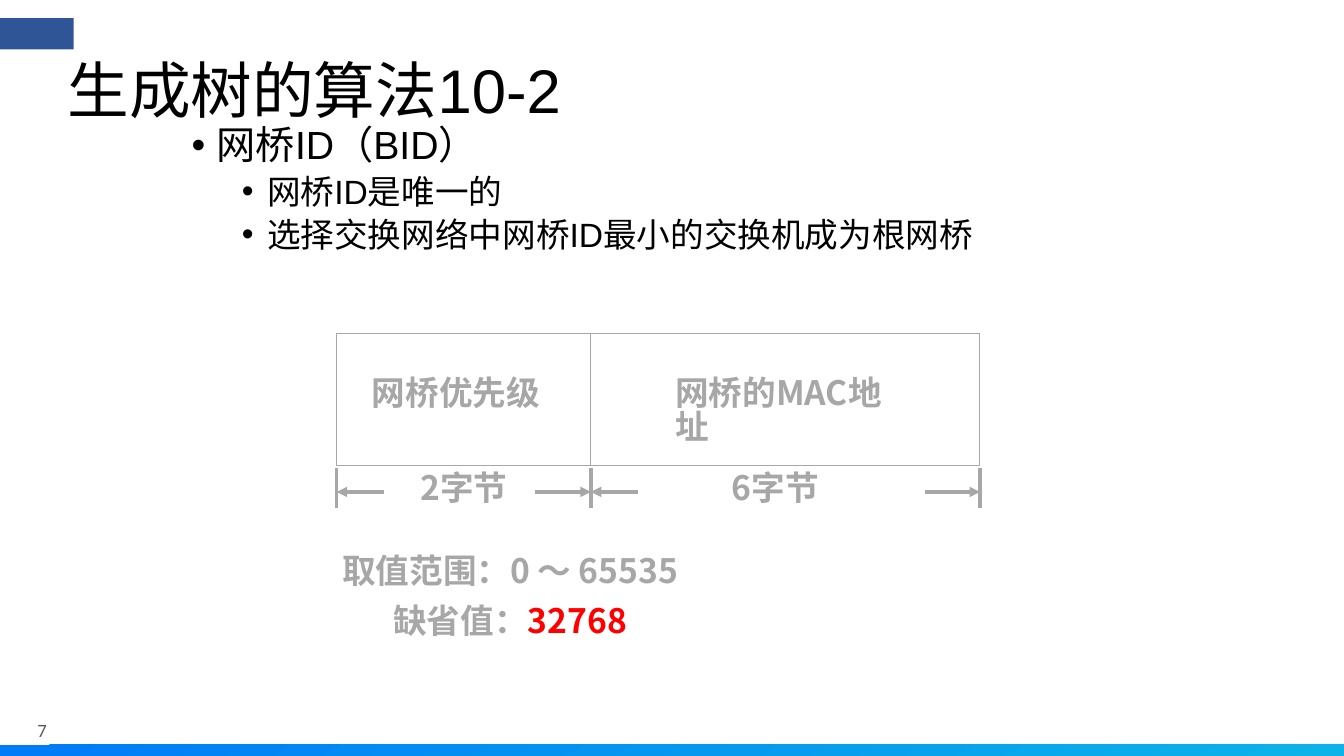
from lxml import etree
from pptx import Presentation
from pptx.dml.color import RGBColor
from pptx.enum.shapes import MSO_CONNECTOR, MSO_SHAPE
from pptx.enum.text import MSO_ANCHOR, PP_ALIGN
from pptx.oxml.ns import qn
from pptx.util import Inches, Pt

STRAIGHT = MSO_CONNECTOR.STRAIGHT
RECTANGLE = MSO_SHAPE.RECTANGLE
TOP, MIDDLE = MSO_ANCHOR.TOP, MSO_ANCHOR.MIDDLE
CENTER = PP_ALIGN.CENTER

BLACK = RGBColor(0x00, 0x00, 0x00)
WHITE = RGBColor(0xFF, 0xFF, 0xFF)
GRAY = RGBColor(0xA7, 0xA7, 0xA7)
RED = RGBColor(0xFF, 0x00, 0x00)
NAVY = RGBColor(0x2F, 0x55, 0x97)
NUMBER_GRAY = RGBColor(0x5A, 0x5A, 0x5A)
BAR_START = RGBColor(0x00, 0x7B, 0xF7)
BAR_END = RGBColor(0x0B, 0xB3, 0xE8)

TEXT_FONT = "Arial"
DIAGRAM_FONT = "Noto Sans CJK SC"
NUMBER_FONT = "Calibri"


def add_text(slide, box, anchor=TOP, margin=0.0):
    """Add a wrapping text box and return its text frame."""
    frame = slide.shapes.add_textbox(*map(Inches, box)).text_frame
    frame.word_wrap = True
    frame.vertical_anchor = anchor
    frame.margin_left = frame.margin_right = Inches(margin)
    frame.margin_top = frame.margin_bottom = Inches(margin / 2)
    return frame


def style_span(span, font, size, color, bold=False):
    span.font.name = font
    span.font.size = Pt(size)
    span.font.bold = bold
    span.font.color.rgb = color
    east_asian = etree.SubElement(span.font._element, qn("a:ea"))
    east_asian.set("typeface", font)


def add_rectangle(slide, box):
    shape = slide.shapes.add_shape(RECTANGLE, *map(Inches, box))
    shape.shadow.inherit = False
    shape.line.fill.background()
    return shape


def add_line(slide, start, end, arrow=False):
    line = slide.shapes.add_connector(STRAIGHT, *map(Inches, start + end))
    line.line.color.rgb = GRAY
    line.line.width = Pt(2.5)
    if arrow:
        tail = etree.SubElement(line.line._get_or_add_ln(), qn("a:tailEnd"))
        tail.set("type", "triangle")
    etree.SubElement(line._element.spPr, qn("a:effectLst"))


def add_decoration(slide, width, height):
    bar = add_rectangle(slide, (0, height - 0.11, width, 0.11))
    bar.fill.gradient()
    bar.fill.gradient_angle = 300
    for stop, color in zip(bar.fill.gradient_stops, (BAR_START, BAR_END)):
        stop.color.rgb = color
    tab = add_rectangle(slide, (0, 0.18, 0.73, 0.31))
    tab.fill.solid()
    tab.fill.fore_color.rgb = NAVY

    number = add_text(slide, (0.37, 7.13, 0.74, 0.22), MIDDLE).paragraphs[0]
    number.text = "7"
    style_span(number.runs[0], NUMBER_FONT, 13.4, NUMBER_GRAY)


def add_title(slide, box):
    para = add_text(slide, box, MIDDLE).paragraphs[0]
    para.text = "生成树的算法10-2"
    para.line_spacing = 0.9
    style_span(para.runs[0], TEXT_FONT, 44, BLACK)


def add_bullets(slide, box):
    items = [
        ("网桥ID（BID）", 0, 28),
        ("网桥ID是唯一的", 1, 24),
        ("选择交换网络中网桥ID最小的交换机成为根网桥", 1, 24),
    ]
    frame = add_text(slide, box)
    for index, (text, level, size) in enumerate(items):
        para = frame.add_paragraph() if index else frame.paragraphs[0]
        para.text = text
        para.level = level
        para.line_spacing = 0.9
        if index:
            para.space_before = Pt(4.8)
        properties = para._p.get_or_add_pPr()
        properties.set("marL", str(Inches(0.25 + 0.5 * level)))
        properties.set("indent", str(Inches(-0.25)))
        etree.SubElement(properties, qn("a:buFont")).set("typeface", TEXT_FONT)
        etree.SubElement(properties, qn("a:buChar")).set("char", "•")
        style_span(para.runs[0], TEXT_FONT, size, BLACK)


def add_label(slide, box, lines, align=None):
    """Write bold diagram text; each line is a list of (text, color) spans."""
    frame = add_text(slide, box, margin=0.1)
    for index, spans in enumerate(lines):
        para = frame.add_paragraph() if index else frame.paragraphs[0]
        para.alignment = align
        para.line_spacing = 0.83
        if index:
            para.space_before = Pt(12)
        for text, color in spans:
            span = para.add_run()
            span.text = text
            style_span(span, DIAGRAM_FONT, 24, color, bold=True)


def add_bridge_id(slide, left, top):
    """Draw the two fields of the bridge ID with their byte widths below."""
    height = 1.31
    tick_top, arrow_y = top + 1.33, top + 1.57
    # name, its left offset and size, field width, bytes, bytes offset, arrow lengths
    fields = [
        ("网桥优先级", 0.25, 2.02, 0.51, 2.52, "2字节", 0.73, 0.47, 0.55),
        ("网桥的MAC地址", 0.74, 2.42, 0.91, 3.86, "6字节", 1.3, 0.47, 0.55),
    ]
    edges = [left]
    for (name, name_offset, name_width, name_height, width,
         size, size_offset, left_arrow, right_arrow) in fields:
        start, end = edges[-1], edges[-1] + width
        edges.append(end)
        field = add_rectangle(slide, (start, top, width, height))
        field.fill.solid()
        field.fill.fore_color.rgb = WHITE
        field.line.color.rgb = GRAY
        field.line.width = Pt(0.75)
        add_label(slide, (start + name_offset, top + 0.4, name_width, name_height),
                  [[(name, GRAY)]])
        add_label(slide, (start + size_offset, top + 1.34, 1.42, 0.51),
                  [[(size, GRAY)]])
        add_line(slide, (start + left_arrow, arrow_y), (start, arrow_y), arrow=True)
        add_line(slide, (end - right_arrow, arrow_y), (end, arrow_y), arrow=True)
    for edge in edges:
        add_line(slide, (edge, tick_top), (edge, tick_top + 0.4))


def main():
    deck = Presentation()
    deck.slide_width, deck.slide_height = Inches(13.33), Inches(7.5)
    slide = deck.slides.add_slide(deck.slide_layouts[6])
    add_decoration(slide, 13.33, 7.5)
    add_bullets(slide, (1.9, 1.25, 9.3, 1.72))
    add_title(slide, (0.67, 0.3, 12, 1.25))
    add_bridge_id(slide, 3.34, 3.31)
    add_label(slide, (2.63, 5.47, 4.86, 1.11), [
        [("取值范围：0 ～ 65535", GRAY)],
        [("缺省值：", GRAY), ("32768", RED)],
    ], CENTER)
    deck.save("out.pptx")


if __name__ == "__main__":
    main()
